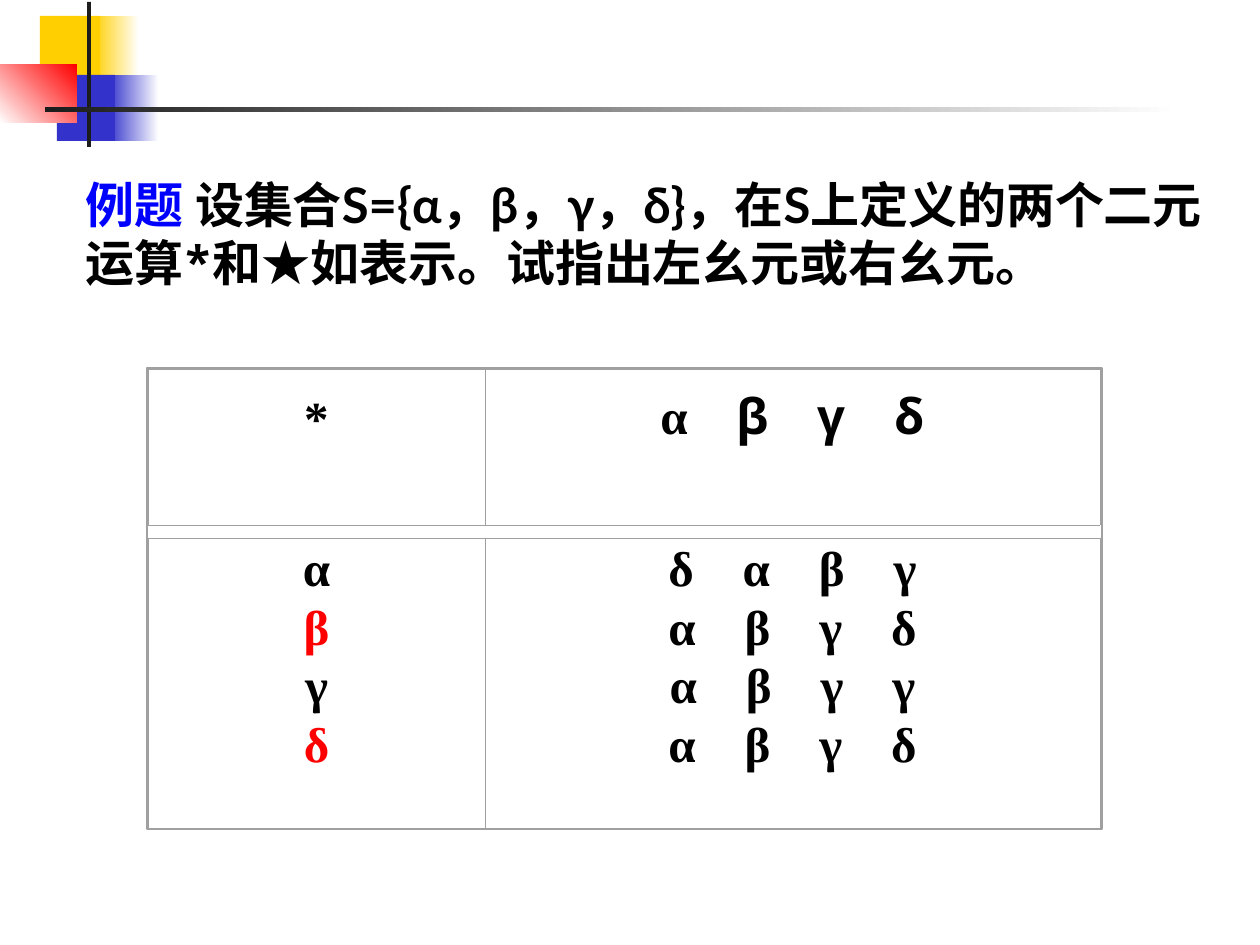
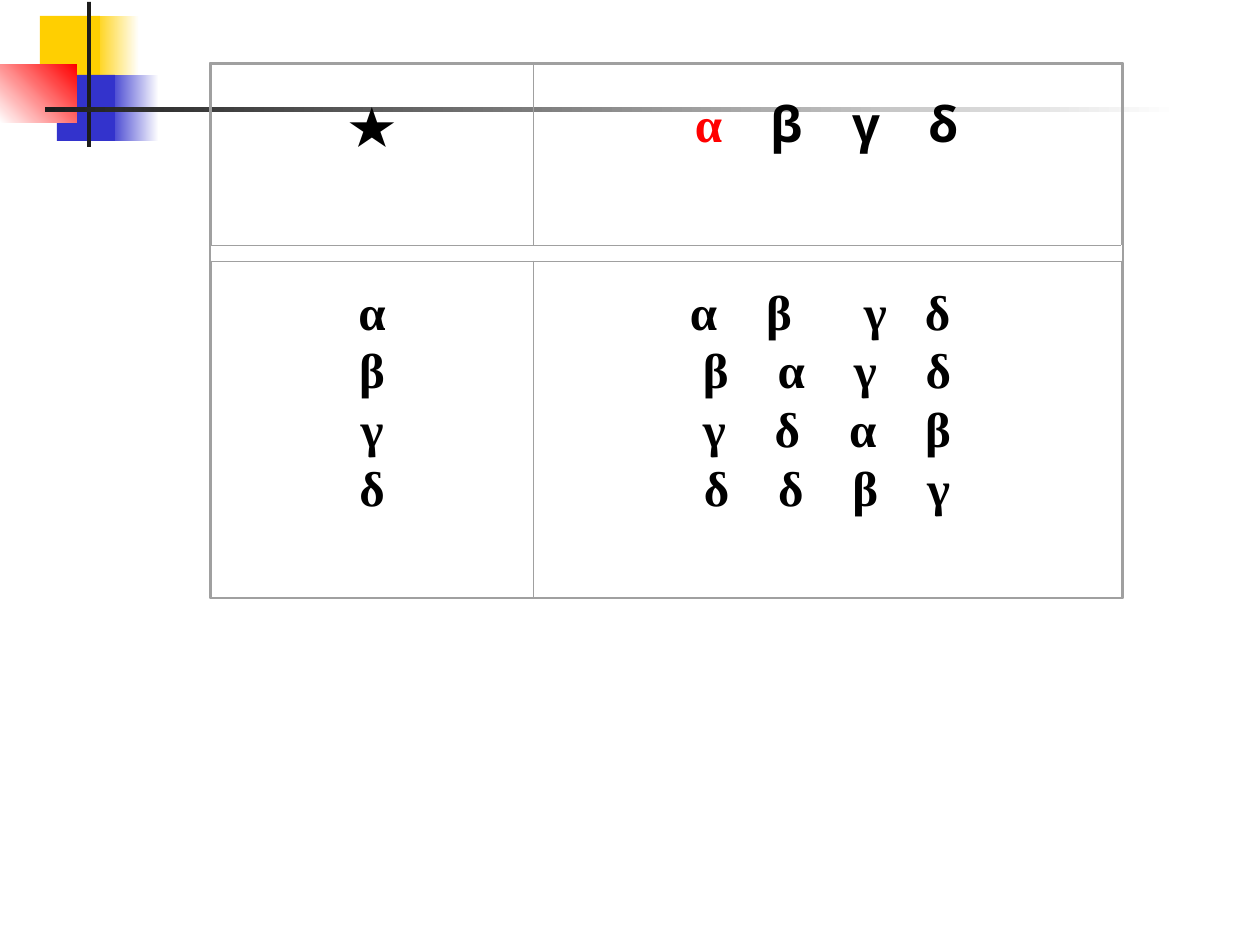
from dataclasses import dataclass

import lxml.etree
import pptx
import pptx.dml.color
import pptx.enum.shapes
import pptx.enum.text
import pptx.oxml.ns
import pptx.util

EMU_PER_PX = 914400 / 126
NO_TABLE_STYLE = "{2D5ABB26-0587-4C30-8999-92F81FD0307C}"


@dataclass(frozen=True)
class Theme:
    text: str = "000000"
    label: str = "0000FF"
    highlight: str = "FF0000"
    border: str = "A0A0A0"
    yellow: str = "FFCF01"
    blue: str = "3333CC"
    red: str = "FF0000"
    dark: str = "1C1C1C"
    white: str = "FFFFFF"
    body_font: str = "Lato"
    table_font: str = "Times New Roman"
    heading_font: str = "Cabin"
    star_font: str = "Noto Sans Mono"
    size: float = 28
    line_pitch: float = 33.6
    cell_line: float = 0.5
    frame_line: float = 0.88


THEME = Theme()
LINE_PX = THEME.line_pitch * 126 / 72


def px(length):
    return pptx.util.Emu(round(length * EMU_PER_PX))


def rgb(value):
    return pptx.dml.color.RGBColor.from_string(value)


def add_element(parent, tag, **attributes):
    element = lxml.etree.SubElement(parent, pptx.oxml.ns.qn(tag))
    for name, value in attributes.items():
        element.set(name, str(value))
    return element


# Text

def add_run(paragraph, text, color=THEME.text, font=THEME.table_font):
    run = paragraph.add_run()
    run.text = text
    run.font.name = font
    run.font.size = pptx.util.Pt(THEME.size)
    run.font.bold = True
    run.font.color.rgb = rgb(color)
    add_element(run.font._element, "a:ea", typeface=THEME.body_font)


def write_line(paragraph, runs, centered=True, tab_stops=()):
    """Fill one paragraph; each run is a text with its format keywords."""
    align = pptx.enum.text.PP_ALIGN
    paragraph.alignment = align.CENTER if centered else align.LEFT
    paragraph.line_spacing = pptx.util.Pt(THEME.line_pitch)
    if tab_stops:
        tab_list = add_element(paragraph._p.get_or_add_pPr(), "a:tabLst")
        for stop in tab_stops:
            add_element(tab_list, "a:tab", pos=px(stop), algn="l")
    for text, style in runs:
        add_run(paragraph, text, **style)


def add_statement(slide, box, runs):
    shape = slide.shapes.add_textbox(*map(px, box))
    shape.text_frame.word_wrap = True
    write_line(shape.text_frame.paragraphs[0], runs, centered=False)


# Shapes

def add_rectangle(slide, box, colors=(), angle=0, line=None):
    """No colour leaves it open, one fills it, two make a gradient."""
    shape = slide.shapes.add_shape(
        pptx.enum.shapes.MSO_SHAPE.RECTANGLE, *map(px, box))
    shape.shadow.inherit = False
    if len(colors) == 2:
        shape.fill.gradient()
        shape.fill.gradient_angle = angle
        for stop, color in zip(shape.fill.gradient_stops, colors):
            stop.color.rgb = rgb(color)
    elif colors:
        shape.fill.solid()
        shape.fill.fore_color.rgb = rgb(colors[0])
    else:
        shape.fill.background()
    if line:
        shape.line.color.rgb = rgb(line)
        shape.line.width = pptx.util.Pt(THEME.frame_line)
    else:
        shape.line.fill.background()


def add_corner_ornament(slide):
    add_rectangle(slide, (93, 16, 46, 66), (THEME.yellow, THEME.white))
    add_rectangle(slide, (108, 75, 51, 66), (THEME.blue, THEME.white))
    add_rectangle(slide, (40, 16, 60, 66), (THEME.yellow,))
    add_rectangle(slide, (57, 75, 58, 66), (THEME.blue,))
    add_rectangle(slide, (0, 65, 77, 58), (THEME.white, THEME.red), angle=45)
    add_rectangle(slide, (87, 2, 4, 145), (THEME.dark,))
    add_rectangle(slide, (45, 107, 1134, 5), (THEME.dark, THEME.white))


# Operation table

def set_borders(cell, sides):
    properties = cell._tc.get_or_add_tcPr()
    for side in "LRTB":
        line = add_element(properties, f"a:ln{side}",
                           w=pptx.util.Pt(THEME.cell_line))
        if side in sides:
            fill = add_element(line, "a:solidFill")
            add_element(fill, "a:srgbClr", val=THEME.border)
        else:
            add_element(line, "a:noFill")


def format_cell(cell, borders, top=0):
    cell.margin_left = cell.margin_right = cell.margin_bottom = 0
    cell.margin_top = px(top)
    cell.vertical_anchor = pptx.enum.text.MSO_ANCHOR.TOP
    set_borders(cell, borders)
    cell.fill.background()


def fill_cell(cell, lines, height):
    """Set the lines half a line above the middle of the cell."""
    top = max(0, (height - (len(lines) + 1) * LINE_PX) / 2)
    format_cell(cell, "LRTB", top)
    frame = cell.text_frame
    for index, line in enumerate(lines):
        paragraph = frame.add_paragraph() if index else frame.paragraphs[0]
        write_line(paragraph, **line)


def add_operation_table(slide, left, top, widths, heights, head, body):
    width, height = sum(widths), sum(heights)
    graphic = slide.shapes.add_table(
        3, 2, px(left), px(top), px(width), px(height))
    table = graphic.table
    table.first_row = table.horz_banding = False
    style = table._tbl.tblPr.find(pptx.oxml.ns.qn("a:tableStyleId"))
    style.text = NO_TABLE_STYLE
    for column, column_width in zip(table.columns, widths):
        column.width = px(column_width)
    for row, row_height in zip(table.rows, heights):
        row.height = px(row_height)
    for column in range(2):
        fill_cell(table.cell(0, column), head[column], heights[0])
        fill_cell(table.cell(2, column), body[column], heights[2])
        # Narrow gap between heading and body
        gap = table.cell(1, column)
        format_cell(gap, "TB")
        add_element(gap.text_frame.paragraphs[0]._p, "a:endParaRPr", sz=100)
    add_rectangle(slide, (left - 1, top - 1, width + 3, height + 2),
                  line=THEME.border)


def plain_line(text, color=THEME.text):
    return {"runs": [(text, {"color": color})]}


def heading_line(first_color=THEME.text):
    return {"runs": [("α\u3000", {"color": first_color}),
                     ("β\u3000γ\u3000δ", {"font": THEME.heading_font})]}


def element_lines(highlighted=""):
    return [plain_line(letter, THEME.highlight if letter in highlighted
                       else THEME.text) for letter in "αβγδ"]


def result_lines(*rows):
    return [plain_line("\u3000".join(row)) for row in rows]


def main():
    presentation = pptx.Presentation()
    presentation.slide_width, presentation.slide_height = px(1260), px(945)
    slides = []
    for _ in range(2):
        slide = presentation.slides.add_slide(presentation.slide_layouts[6])
        add_corner_ornament(slide)
        slides.append(slide)
    star_operation, black_star_operation = slides

    # Problem and operation *
    body = {"font": THEME.body_font}
    add_statement(star_operation, (73, 168, 1187, 136), [
        ("例题 ", {"font": THEME.body_font, "color": THEME.label}),
        ("设集合S={α，β，γ，δ}，在S上定义的两个二元运算", body),
        ("*", {"font": THEME.star_font}),
        ("和★如表示。试指出左幺元或右幺元。", body),
    ])
    add_operation_table(
        star_operation, 148, 369, (337, 615), (156, 13, 290),
        head=([plain_line("*")], [heading_line()]),
        body=(element_lines(highlighted="βδ"),
              result_lines("δαβγ", "αβγδ", "αβγγ", "αβγδ")))

    # Operation ★
    uneven_line = {"runs": [("\tα\u3000β\tγ\tδ", {})], "centered": False,
                   "tab_stops": (157, 331, 392)}
    add_operation_table(
        black_star_operation, 211, 64, (322, 588), (181, 16, 336),
        head=([plain_line("★")], [heading_line(THEME.highlight)]),
        body=(element_lines(),
              [uneven_line, *result_lines("βαγδ", "γδαβ", "δδβγ")]))

    presentation.save("out.pptx")


if __name__ == "__main__":
    main()
